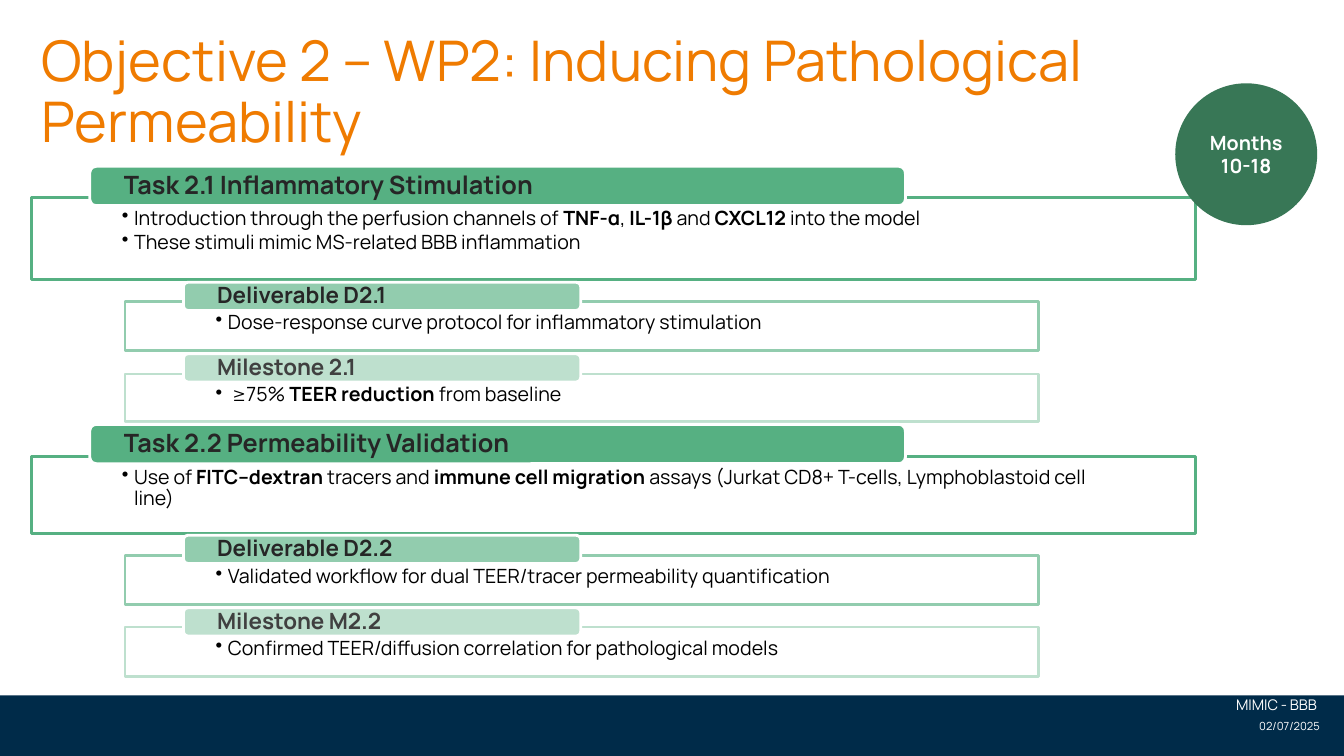
from lxml import etree
from pptx import Presentation
from pptx.dml.color import RGBColor
from pptx.enum.shapes import MSO_SHAPE
from pptx.enum.text import MSO_ANCHOR, MSO_AUTO_SIZE, PP_ALIGN
from pptx.oxml.ns import qn
from pptx.util import Inches, Pt

RECTANGLE, ROUNDED, OVAL = MSO_SHAPE.RECTANGLE, MSO_SHAPE.ROUNDED_RECTANGLE, MSO_SHAPE.OVAL
TOP, MIDDLE = MSO_ANCHOR.TOP, MSO_ANCHOR.MIDDLE
LEFT, CENTER, RIGHT = PP_ALIGN.LEFT, PP_ALIGN.CENTER, PP_ALIGN.RIGHT
NO_AUTOFIT = MSO_AUTO_SIZE.NONE

FONT = "Manrope"
WHITE = RGBColor(0xFF, 0xFF, 0xFF)
BLACK = RGBColor(0x00, 0x00, 0x00)
CHARCOAL = RGBColor(0x26, 0x26, 0x26)
GREY = RGBColor(0x40, 0x40, 0x40)
ORANGE = RGBColor(0xEF, 0x7B, 0x00)
NAVY = RGBColor(0x00, 0x2B, 0x49)
DARK_GREEN = RGBColor(0x38, 0x77, 0x56)
GREEN = RGBColor(0x56, 0xB0, 0x82)
MID_GREEN = RGBColor(0x92, 0xCC, 0xAE)
PALE_GREEN = RGBColor(0xBE, 0xE0, 0xCE)

# Box left and width, label left, width and height, label size, colour, label text colour
STYLES = {
    "task": (0.31, 11.55, 0.89, 8.09, 0.39, 18, GREEN, CHARCOAL),
    "deliverable": (1.24, 9.06, 1.82, 3.94, 0.28, 16, MID_GREEN, CHARCOAL),
    "milestone": (1.24, 9.06, 1.82, 3.94, 0.28, 16, PALE_GREEN, GREY),
}

# Style, label top, box top, box height, label, bullets whose every second run is bold
BLOCKS = [
    ("task", 1.65, 1.96, 0.81, "Task 2.1 Inflammatory Stimulation", [
        ["Introduction through the perfusion channels of ", "TNF-α", ", ", "IL-1β",
         " and ", "CXCL12 ", "into the model"],
        ["These stimuli mimic MS-related BBB inflammation"]]),
    ("deliverable", 2.8, 2.99, 0.49, "Deliverable D2.1", [
        ["Dose-response curve protocol for inflammatory stimulation"]]),
    ("milestone", 3.51, 3.71, 0.47, "Milestone 2.1", [
        [" ≥75% ", "TEER reduction ", "from baseline"]]),
    ("task", 4.21, 4.53, 0.76, "Task 2.2 Permeability Validation", [
        ["Use of ", "FITC–dextran", " tracers and ", "immune cell migration",
         " assays (Jurkat CD8+ T-cells, Lymphoblastoid cell line)"]]),
    ("deliverable", 5.31, 5.51, 0.49, "Deliverable D2.2", [
        ["Validated workflow for dual TEER/tracer permeability quantification"]]),
    ("milestone", 6.03, 6.22, 0.49, "Milestone M2.2", [
        ["Confirmed TEER/diffusion correlation for pathological models"]]),
]

presentation = Presentation()
presentation.slide_width = Inches(13.33)
presentation.slide_height = Inches(7.5)
slide = presentation.slides.add_slide(presentation.slide_layouts[5])


def add_filled_shape(kind, left, top, width, height, fill, line):
    shape = slide.shapes.add_shape(
        kind, Inches(left), Inches(top), Inches(width), Inches(height))
    shape.shadow.inherit = False
    shape.fill.solid()
    shape.fill.fore_color.rgb = fill
    shape.line.color.rgb = line
    shape.line.width = Pt(2)
    return shape


def write_text(shape, paragraphs, size, color, bold=False, align=LEFT, anchor=TOP,
               margins=(0.1, 0.05), spacing=1.0, bullets=False):
    """Fill a shape with paragraphs, each a list of runs that alternate in weight."""
    frame = shape.text_frame
    frame.word_wrap = True
    frame.auto_size = NO_AUTOFIT
    frame.vertical_anchor = anchor
    frame.margin_left = frame.margin_right = Inches(margins[0])
    frame.margin_top = frame.margin_bottom = Inches(margins[1])
    for number, runs in enumerate(paragraphs):
        paragraph = frame.add_paragraph() if number else frame.paragraphs[0]
        paragraph.alignment = align
        paragraph.line_spacing = spacing
        if bullets:
            paragraph.space_after = Pt(2)
            properties = paragraph._p.get_or_add_pPr()
            properties.set("marL", str(Inches(0.12)))
            properties.set("indent", str(-Inches(0.12)))
            etree.SubElement(properties, qn("a:buChar"), char="•")
        for position, text in enumerate(runs):
            run = paragraph.add_run()
            run.text = text
            run.font.name = FONT
            run.font.size = Pt(size)
            run.font.color.rgb = color
            run.font.bold = bold or position % 2 == 1


footer_bar = add_filled_shape(RECTANGLE, 0, 6.9, 13.33, 0.6, NAVY, NAVY)
footer_bar.line.fill.background()

for style, label_top, box_top, box_height, label_text, bullet_runs in BLOCKS:
    (box_left, box_width, label_left, label_width, label_height,
     label_size, color, label_color) = STYLES[style]
    box = add_filled_shape(RECTANGLE, box_left, box_top, box_width, box_height, WHITE, color)
    box_color = box.fill._xPr.find(qn("a:solidFill"))[0]
    etree.SubElement(box_color, qn("a:alpha"), val="90000")
    write_text(box, bullet_runs, 14, BLACK, margins=(0.9, 0.11), spacing=0.9, bullets=True)
    label = add_filled_shape(
        ROUNDED, label_left, label_top, label_width, label_height, color, WHITE)
    write_text(label, [[label_text]], label_size, label_color, bold=True,
               anchor=MIDDLE, margins=(0.32, 0), spacing=0.9)

title = slide.shapes.title
title.left, title.top = Inches(0.31), Inches(0.28)
title.width, title.height = Inches(12.88), Inches(0.79)
write_text(title, [["Objective 2 – WP2: Inducing Pathological Permeability"]],
           40, ORANGE, spacing=0.9)

months = add_filled_shape(OVAL, 11.67, 0.84, 1.38, 1.38, DARK_GREEN, DARK_GREEN)
write_text(months, [["Months 10-18"]], 14, WHITE, bold=True, align=CENTER, anchor=MIDDLE)

for left, top, width, height, text, size in [
    (3.95, 6.85, 9.21, 0.35, "MIMIC - BBB", 10.5),
    (11.29, 7.09, 1.9, 0.41, "02/07/2025", 8),
]:
    footer = slide.shapes.add_textbox(
        Inches(left), Inches(top), Inches(width), Inches(height))
    write_text(footer, [[text]], size, WHITE, align=RIGHT)

presentation.save("out.pptx")
